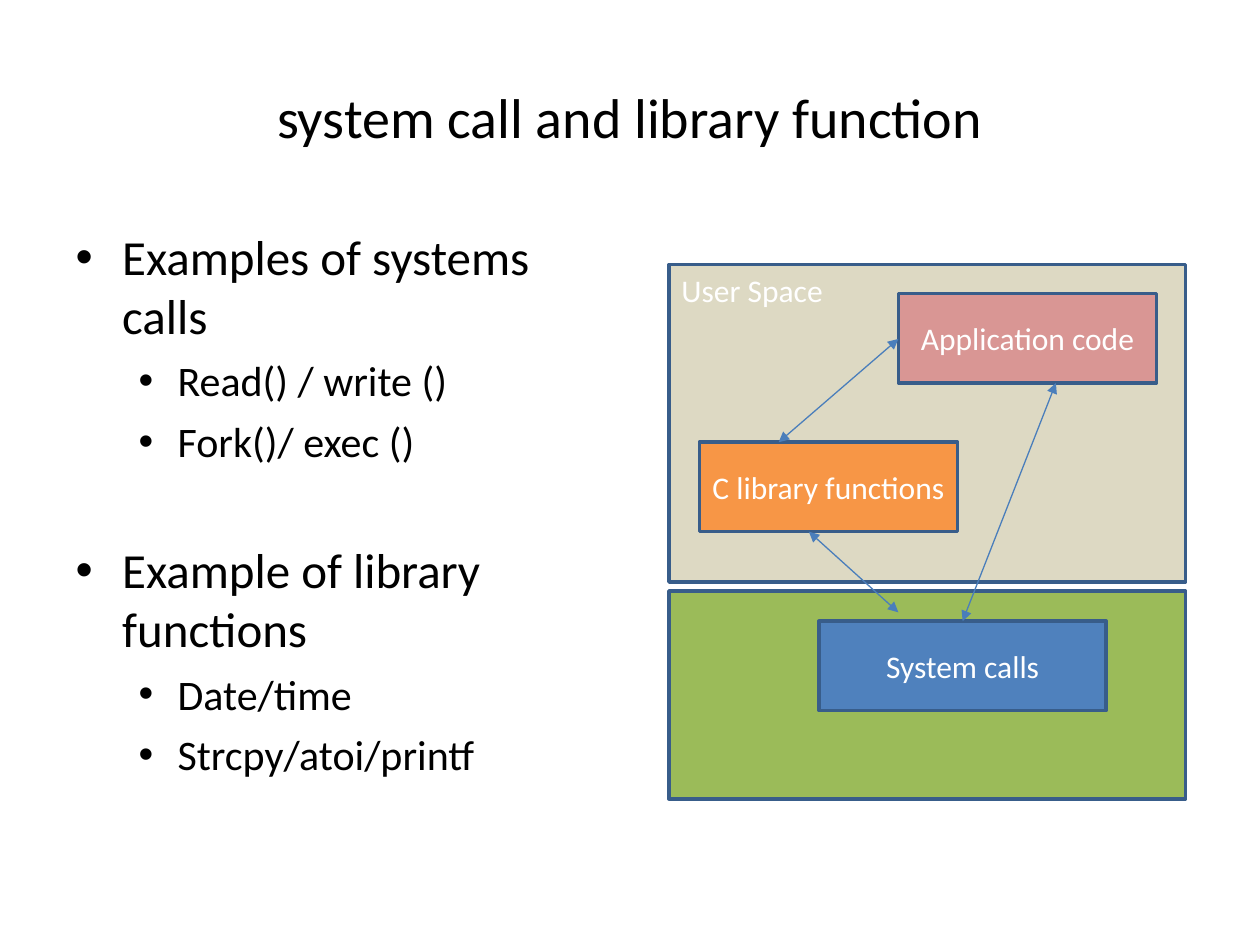
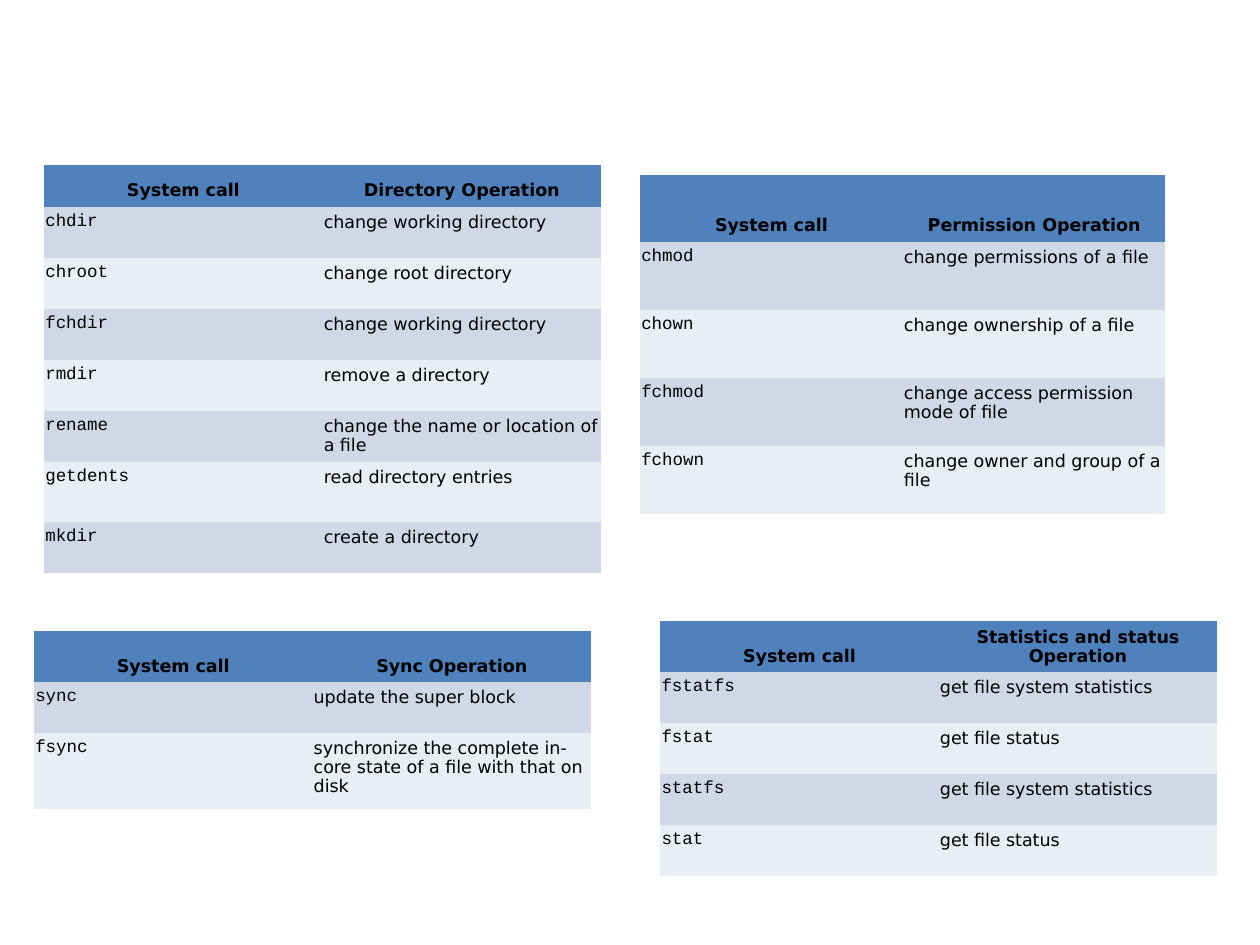
from dataclasses import dataclass

from lxml.etree import SubElement
from pptx import Presentation
from pptx.dml.color import RGBColor
from pptx.enum.shapes import MSO_CONNECTOR, MSO_SHAPE
from pptx.enum.text import MSO_ANCHOR, MSO_AUTO_SIZE, PP_ALIGN
from pptx.oxml.ns import qn
from pptx.util import Inches, Pt

GRID_COLUMNS, GRID_ROWS = 100, 75
TITLE_AND_CONTENT, BLANK = 1, 6
PLAIN_TABLE_STYLE = "{2D5ABB26-0587-4C30-8999-92F81FD0307C}"


@dataclass(frozen=True)
class Theme:
    font: str = "Calibri"
    table_font: str = "DejaVu Sans"
    code_font: str = "Courier New"
    text: str = "000000"
    light_text: str = "FFFFFF"
    blue: str = "4F81BD"
    green: str = "9BBB59"
    sand: str = "DDD9C3"
    rose: str = "D99694"
    orange: str = "F79646"
    outline: str = "385D8A"
    arrow: str = "4A7EBB"
    bands: tuple = ("D0D8E8", "E9EDF4")
    title_size: int = 32
    list_sizes: tuple = (28, 24)
    list_indents: tuple = ((0.37, -0.37), (0.81, -0.31))
    list_spacing: tuple = (7, 6)
    group_spacing: int = 42
    box_size: int = 18
    table_size: int = 10


class SlideBuilder:
    """Draws on the current slide; lengths are grid columns and rows."""

    def __init__(self, deck, theme):
        self.deck = deck
        self.theme = theme
        self.page = None

    def new_page(self, layout):
        self.page = self.deck.slides.add_slide(self.deck.slide_layouts[layout])

    def across(self, columns):
        return round(self.deck.slide_width * columns / GRID_COLUMNS)

    def down(self, rows):
        return round(self.deck.slide_height * rows / GRID_ROWS)

    def area(self, left, top, width, height):
        return self.across(left), self.down(top), self.across(width), self.down(height)

    def move(self, shape, area):
        shape.left, shape.top, shape.width, shape.height = self.area(*area)

    def style(self, para, size, color, font=None, bold=False):
        para.font.name = font or self.theme.font
        para.font.size = Pt(size)
        para.font.bold = bold
        para.font.color.rgb = RGBColor.from_string(color)

    def fill(self, target, color):
        target.fill.solid()
        target.fill.fore_color.rgb = RGBColor.from_string(color)

    def title(self, text, area):
        shape = self.page.shapes.title
        self.move(shape, area)
        frame = shape.text_frame
        frame.text = text
        frame.auto_size = MSO_AUTO_SIZE.NONE
        frame.vertical_anchor = MSO_ANCHOR.MIDDLE
        para = frame.paragraphs[0]
        para.alignment = PP_ALIGN.CENTER
        self.style(para, self.theme.title_size, self.theme.text)

    def bullets(self, groups, area):
        """Write each heading with its items as a two-level list."""
        body = self.page.placeholders[1]
        self.move(body, area)
        frame = body.text_frame
        frame.auto_size = MSO_AUTO_SIZE.NONE
        lines = [(level, text) for heading, items in groups.items()
                 for level, text in [(0, heading)] + [(1, item) for item in items]]
        frame.text = "\n".join(text for _, text in lines)
        for index, (para, (level, _)) in enumerate(zip(frame.paragraphs, lines)):
            para.level = level
            self.bullet(para, level)
            starts_later_group = index > 0 and level == 0
            para.space_before = Pt(self.theme.group_spacing if starts_later_group
                                   else self.theme.list_spacing[level])
            self.style(para, self.theme.list_sizes[level], self.theme.text)

    def bullet(self, para, level):
        properties = para._p.get_or_add_pPr()
        margin, indent = self.theme.list_indents[level]
        properties.set("marL", str(Inches(margin)))
        properties.set("indent", str(Inches(indent)))
        SubElement(properties, qn("a:buChar")).set("char", "•")

    def box(self, area, color, text="", align=PP_ALIGN.CENTER, anchor=MSO_ANCHOR.MIDDLE):
        shape = self.page.shapes.add_shape(MSO_SHAPE.RECTANGLE, *self.area(*area))
        shape.shadow.inherit = False
        self.fill(shape, color)
        shape.line.color.rgb = RGBColor.from_string(self.theme.outline)
        shape.line.width = Pt(2)
        if text:
            frame = shape.text_frame
            frame.text = text
            frame.word_wrap = True
            frame.vertical_anchor = anchor
            frame.paragraphs[0].alignment = align
            self.style(frame.paragraphs[0], self.theme.box_size, self.theme.light_text)

    def double_arrow(self, start, end):
        line = self.page.shapes.add_connector(
            MSO_CONNECTOR.STRAIGHT, self.across(start[0]), self.down(start[1]),
            self.across(end[0]), self.down(end[1]))
        line.line.color.rgb = RGBColor.from_string(self.theme.arrow)
        line.line.width = Pt(0.75)
        for tip in ("a:headEnd", "a:tailEnd"):
            SubElement(line.line._get_or_add_ln(), qn(tip)).set("type", "triangle")
        SubElement(line._element.spPr, qn("a:effectLst"))

    def call_table(self, operation, calls, area, row_heights):
        """Tabulate system calls with what each one does."""
        rows = [("System call", operation), *calls.items()]
        table = self.page.shapes.add_table(len(rows), 2, *self.area(*area)).table
        table._tbl.tblPr.find(qn("a:tableStyleId")).text = PLAIN_TABLE_STYLE
        table.first_row = table.horz_banding = False
        for row_index, (texts, height) in enumerate(zip(rows, row_heights)):
            table.rows[row_index].height = self.down(height)
            for column, text in enumerate(texts):
                self.table_cell(table.cell(row_index, column), text, row_index, column)

    def table_cell(self, cell, text, row, column):
        header = row == 0
        is_code = column == 0 and not header
        self.fill(cell, self.theme.blue if header else self.theme.bands[(row - 1) % 2])
        cell.margin_left = cell.margin_right = Inches(0.01)
        cell.margin_top = cell.margin_bottom = Inches(0.05)
        cell.vertical_anchor = MSO_ANCHOR.BOTTOM if header else MSO_ANCHOR.TOP
        cell.text = text
        para = cell.text_frame.paragraphs[0]
        para.alignment = PP_ALIGN.CENTER if header else PP_ALIGN.LEFT
        para.line_spacing = 0.84 if is_code else 0.93
        self.style(para, self.theme.table_size, self.theme.text,
                   self.theme.code_font if is_code else self.theme.table_font, header)


def draw_call_layers(builder):
    theme = builder.theme
    builder.new_page(TITLE_AND_CONTENT)
    builder.title("system call and library function", (5, 3, 90, 12.5))
    builder.bullets({
        "Examples of systems calls": ["Read() / write ()", "Fork()/ exec ()"],
        "Example of library functions": ["Date/time", "Strcpy/atoi/printf"],
    }, (5, 17.5, 44.2, 57.5))

    builder.box((53.1, 46.9, 41, 16.5), theme.green)
    builder.box((53.1, 21, 41, 25.2), theme.sand, "User Space", PP_ALIGN.LEFT, MSO_ANCHOR.TOP)
    for text, color, left, top, width in (
            ("Application code", theme.rose, 71.3, 23.3, 20.5),
            ("C library functions", theme.orange, 55.5, 35.1, 20.5),
            ("System calls", theme.blue, 65, 49.3, 22.8)):
        builder.box((left, top, width, 7.1), color, text)

    builder.double_arrow((71.3, 26.9), (61.8, 35.1))
    builder.double_arrow((83.8, 30.4), (76.4, 49.3))
    builder.double_arrow((64.2, 42.2), (71.3, 48.6))


def draw_call_tables(builder):
    row = 4.05
    builder.new_page(BLANK)
    builder.call_table("Sync Operation", {
        "sync": "update the super block",
        "fsync": "synchronize the complete in-core state of a file with that on disk",
    }, (2.7, 50.1, 44.2, 14.1), [row, row, 6])
    builder.call_table("Statistics and status Operation", {
        "fstatfs": "get file system statistics",
        "fstat": "get file status",
        "statfs": "get file system statistics",
        "stat": "get file status",
    }, (52.4, 49.3, 44.2, 20.3), [row] * 5)
    builder.call_table("Directory Operation", {
        "chdir": "change working directory",
        "chroot": "change root directory",
        "fchdir": "change working directory",
        "rmdir": "remove a directory",
        "rename": "change the name or location of a file",
        "getdents": "read directory entries",
        "mkdir": "create a directory",
    }, (3.5, 13.1, 44.2, 32.4), [3.3, *[row] * 5, 4.8, row])
    builder.call_table("Permission Operation", {
        "chmod": "change permissions of a file",
        "chown": "change ownership of a file",
        "fchmod": "change access permission mode of file",
        "fchown": "change owner and group of a file",
    }, (50.8, 13.9, 41.7, 26.9), [5.3, *[5.4] * 4])


def main():
    deck = Presentation()
    deck.slide_width, deck.slide_height = Inches(10), Inches(7.5)
    builder = SlideBuilder(deck, Theme())
    draw_call_layers(builder)
    draw_call_tables(builder)
    deck.save("out.pptx")


if __name__ == "__main__":
    main()
